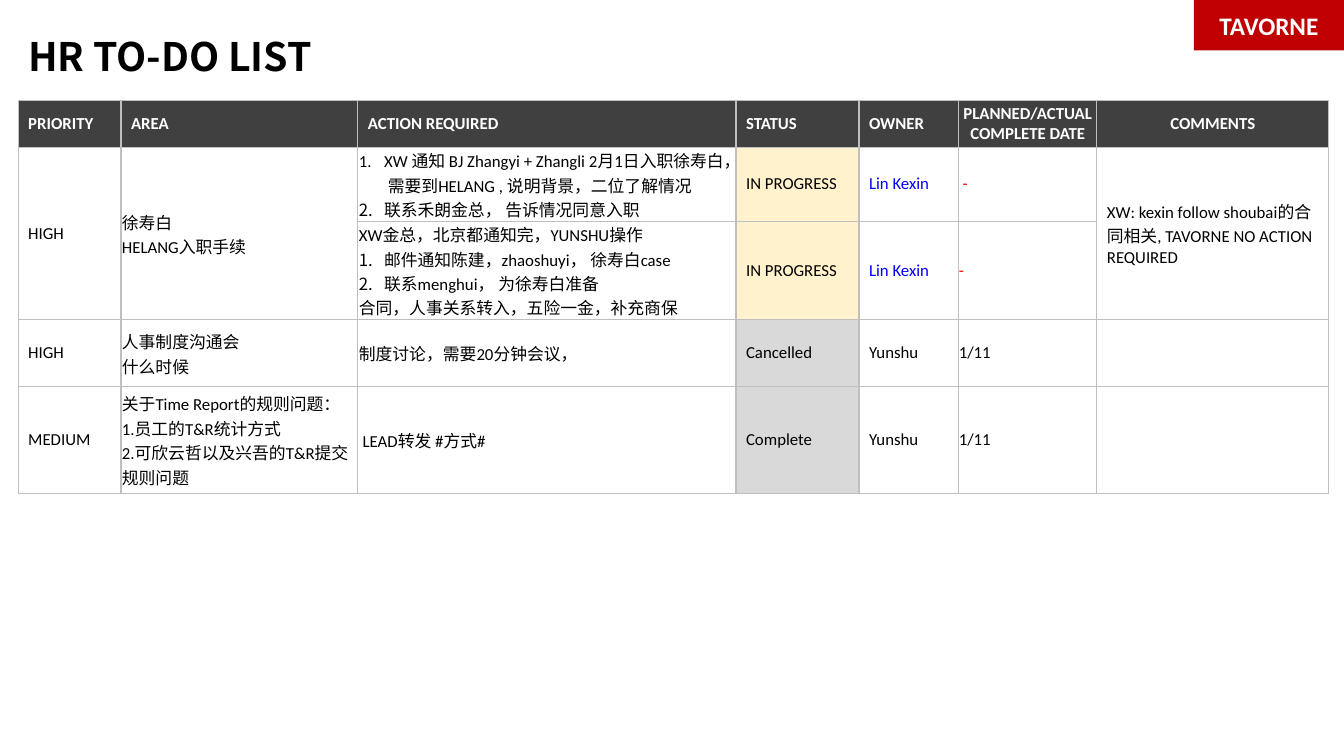
from lxml.etree import SubElement
from pptx import Presentation
from pptx.dml.color import RGBColor as RGB
from pptx.enum.shapes import MSO_SHAPE as SHAPE
from pptx.enum.text import MSO_ANCHOR as ANCHOR, MSO_AUTO_SIZE as FIT, PP_ALIGN as ALIGN
from pptx.oxml import parse_xml
from pptx.oxml.ns import nsdecls, qn
from pptx.util import Inches, Pt

HUES = {"ink": "000000", "white": "FFFFFF", "head": "404040", "rule": "BFBFBF",
        "red": "FF0000", "blue": "0000FF", "badge": "C00000",
        "IN PROGRESS": "FFF2CC", "Cancelled": "D9D9D9", "Complete": "D9D9D9"}
LATIN, ASIAN = "Calibri", "Noto Sans CJK SC"
AREA, ACTION, STATUS, OWNER, DATE, NOTES = range(1, 7)
WIDTHS = [1.02, 2.35, 3.75, 1.22, 0.99, 1.37, 2.3]
HEIGHTS = [0.46, 0.67, 0.89, 0.66, 1.06]
HEADS = ["PRIORITY", "AREA", "ACTION REQUIRED", "STATUS", "OWNER",
         "PLANNED/ACTUAL COMPLETE DATE", "COMMENTS"]
NUM = "# "
TASKS = [
    ["HIGH", "徐寿白\nHELANG入职手续",
     "# XW 通知 BJ Zhangyi + Zhangli 2月1日入职徐寿白， 需要到HELANG , 说明背景，二位了解情况\n"
     "# 联系禾朗金总， 告诉情况同意入职",
     "IN PROGRESS", "Lin Kexin", " -",
     "XW: kexin follow shoubai的合同相关, TAVORNE NO ACTION REQUIRED"],
    ["", "",
     "XW金总，北京都通知完，YUNSHU操作\n# 邮件通知陈建，zhaoshuyi， 徐寿白case\n"
     "# 联系menghui， 为徐寿白准备\n合同，人事关系转入，五险一金，补充商保",
     "IN PROGRESS", "Lin Kexin", "-", ""],
    ["HIGH", "人事制度沟通会\n什么时候", "制度讨论，需要20分钟会议，",
     "Cancelled", "Yunshu", "1/11", ""],
    ["MEDIUM", "关于Time Report的规则问题：\n1.员工的T&R统计方式\n2.可欣云哲以及兴吾的T&R提交规则问题",
     " LEAD转发 #方式#", "Complete", "Yunshu", "1/11", ""],
]


def style(font, size, hue, bold=False, face=LATIN):
    """Set size, colour, weight and face of a font."""
    font.size, font.bold, font.name = Pt(size), bold, face
    font.color.rgb = RGB.from_string(HUES[hue])


def write(para, text, size, hue, bold=False, face=LATIN):
    """Add one run with its Latin and East Asian faces."""
    run = para.add_run()
    run.text = text
    style(run.font, size, hue, bold, face)
    SubElement(run.font._element, qn("a:ea"), typeface=ASIAN)


def paint(shape, hue):
    """Give a shape or cell a solid fill."""
    shape.fill.solid()
    shape.fill.fore_color.rgb = RGB.from_string(HUES[hue])


def number(para):
    """Turn a paragraph into a numbered item."""
    props = para._p.get_or_add_pPr()
    props.set("marL", str(Inches(0.25)))
    props.set("indent", str(-Inches(0.25)))
    SubElement(props, qn("a:buFont"), typeface=LATIN)
    SubElement(props, qn("a:buAutoNum"), type="arabicPeriod")


def edge(cell):
    """Draw thin rules on all sides of a cell."""
    props = cell._tc.get_or_add_tcPr()
    for spot, side in enumerate("LRTB"):
        props.insert(spot, parse_xml(
            f'<a:ln{side} {nsdecls("a")} w="{Pt(1)}"><a:solidFill>'
            f'<a:srgbClr val="{HUES["rule"]}"/></a:solidFill></a:ln{side}>'))


def inset(cell, left, top, right, low):
    """Set the four margins of a cell."""
    cell.margin_left, cell.margin_top = Inches(left), Inches(top)
    cell.margin_right, cell.margin_bottom = Inches(right), Inches(low)


def fill_cell(cell, text, hue, ground, bold=False, align=ALIGN.LEFT):
    """Write the lines of a cell and paint it."""
    cell.vertical_anchor = ANCHOR.MIDDLE
    paint(cell, ground)
    edge(cell)
    for spot, line in enumerate(text.split("\n")):
        frame = cell.text_frame
        para = frame.add_paragraph() if spot else frame.paragraphs[0]
        para.alignment = align
        if line.startswith(NUM):
            number(para)
        if line:
            write(para, line.removeprefix(NUM), 12, hue, bold)
        else:
            para.font.size = Pt(12)


def add_title(slide, left, top, width, height):
    """Place the slide title."""
    title = slide.shapes.title
    title.left, title.top = Inches(left), Inches(top)
    title.width, title.height = Inches(width), Inches(height)
    frame = title.text_frame
    frame.word_wrap, frame.auto_size = True, FIT.NONE
    frame.vertical_anchor = ANCHOR.MIDDLE
    para = frame.paragraphs[0]
    para.alignment, para.line_spacing = ALIGN.LEFT, 0.9
    write(para, "HR TO-DO LIST", 28, "ink", True, ASIAN)


def add_tasks(slide, left, top):
    """Place the task table."""
    table = slide.shapes.add_table(
        len(HEIGHTS), len(WIDTHS), Inches(left), Inches(top),
        Inches(sum(WIDTHS)), Inches(sum(HEIGHTS))).table
    for col, width in zip(table.columns, WIDTHS):
        col.width = Inches(width)
    for row, height in zip(table.rows, HEIGHTS):
        row.height = Inches(height)
    for col, text in enumerate(HEADS):
        cell = table.cell(0, col)
        mid = col in (DATE, NOTES)
        fill_cell(cell, text, "white", "head", True, ALIGN.CENTER if mid else ALIGN.LEFT)
        if mid:
            inset(cell, 0, 0, 0, 0)
    for row, task in enumerate(TASKS, 1):
        live = task[STATUS] == "IN PROGRESS"
        hues = {OWNER: "blue", DATE: "red"} if live else {}
        for col, text in enumerate(task):
            cell = table.cell(row, col)
            fill_cell(cell, text, hues.get(col, "ink"), text if col == STATUS else "white")
            if col in (AREA, ACTION):
                inset(cell, 0.01, 0.01, 0.01, 0)
            elif col == DATE:
                inset(cell, 0, 0, 0, 0)
    for col in (0, AREA, NOTES):
        table.cell(1, col).merge(table.cell(2, col))


def add_badge(slide, left, top, width, height):
    """Place the corner badge."""
    badge = slide.shapes.add_shape(
        SHAPE.RECTANGLE, Inches(left), Inches(top), Inches(width), Inches(height))
    badge.shadow.inherit = False
    paint(badge, "badge")
    badge.line.fill.background()
    frame = badge.text_frame
    frame.vertical_anchor = ANCHOR.MIDDLE
    para = frame.paragraphs[0]
    para.alignment = ALIGN.CENTER
    write(para, "TAVORNE", 18, "white", True)


def main():
    """Build and save the slide."""
    deck = Presentation()
    deck.slide_width, deck.slide_height = Inches(13.33), Inches(7.5)
    slide = deck.slides.add_slide(deck.slide_layouts[5])
    add_title(slide, 0.18, 0.23, 11.5, 0.7)
    add_tasks(slide, 0.18, 1)
    add_badge(slide, 11.84, 0, 1.49, 0.5)
    deck.save("out.pptx")


if __name__ == "__main__":
    main()
